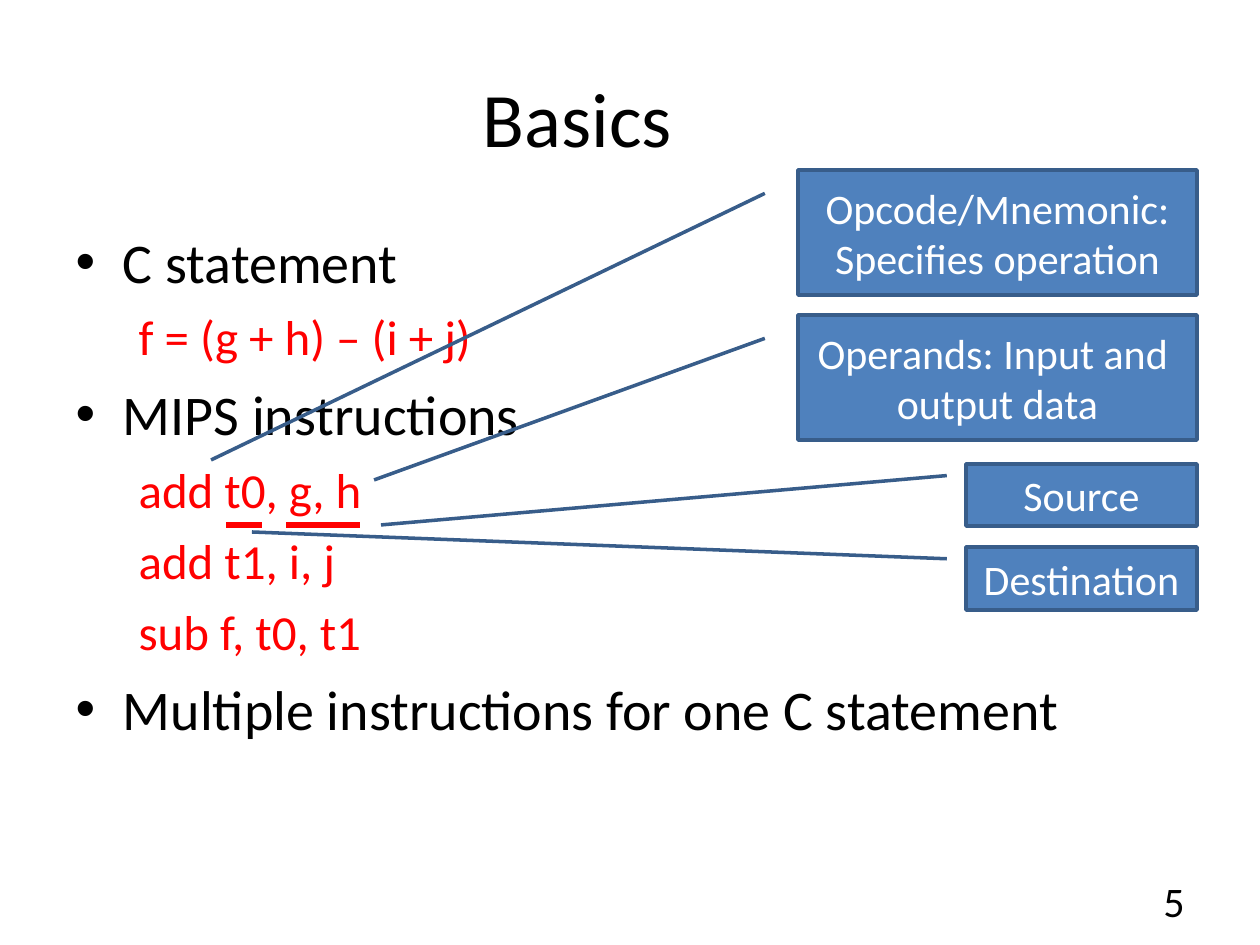
from dataclasses import dataclass

from lxml.etree import SubElement
from pptx import Presentation
from pptx.dml.color import RGBColor
from pptx.enum.shapes import MSO_CONNECTOR, MSO_SHAPE
from pptx.enum.text import MSO_ANCHOR, PP_ALIGN
from pptx.oxml.ns import qn
from pptx.shapes.autoshape import Shape
from pptx.slide import Slide
from pptx.text.text import _Paragraph
from pptx.util import Emu, Pt

EMU_PER_PX = 914400 / 126


@dataclass(frozen=True)
class Theme:
    font: str = "Calibri"
    ink: RGBColor = RGBColor(0x00, 0x00, 0x00)
    code: RGBColor = RGBColor(0xFF, 0x00, 0x00)
    fill: RGBColor = RGBColor(0x4F, 0x81, 0xBD)
    border: RGBColor = RGBColor(0x38, 0x5D, 0x8A)
    label: RGBColor = RGBColor(0xFF, 0xFF, 0xFF)
    title_size: int = 44
    point_size: int = 32
    code_size: int = 28
    label_size: int = 24


@dataclass(frozen=True)
class Area:
    left: int
    top: int
    width: int
    height: int

    def emu(self) -> tuple[Emu, Emu, Emu, Emu]:
        return px(self.left), px(self.top), px(self.width), px(self.height)


@dataclass(frozen=True)
class ListItem:
    text: str
    is_code: bool = False


@dataclass(frozen=True)
class Callout:
    lines: tuple[str, ...]
    area: Area
    tip: tuple[int, int]


@dataclass(frozen=True)
class Underline:
    left: int
    right: int
    y: int


THEME = Theme()

ITEMS = (
    ListItem("C statement"),
    ListItem("f = (g + h) – (i + j)", is_code=True),
    ListItem("MIPS instructions"),
    ListItem("add t0, g, h", is_code=True),
    ListItem("add t1, i, j", is_code=True),
    ListItem("sub f, t0, t1", is_code=True),
    ListItem("Multiple instructions for one C statement"),
)

CALLOUTS = (
    Callout(("Opcode/Mnemonic: Specifies operation",), Area(798, 170, 399, 125), (211, 460)),
    Callout(("Operands: Input and ", "output data"), Area(798, 315, 399, 125), (374, 480)),
    Callout(("Source",), Area(966, 464, 231, 62), (381, 525)),
    Callout(("Destination",), Area(966, 547, 231, 63), (252, 532)),
)

UNDERLINES = (Underline(286, 360, 525), Underline(226, 262, 525))


def px(length: int) -> Emu:
    return Emu(round(length * EMU_PER_PX))


def place(shape: Shape, area: Area) -> None:
    shape.left, shape.top, shape.width, shape.height = area.emu()


def add_span(para: _Paragraph, text: str, size: int, color: RGBColor) -> None:
    span = para.add_run()
    span.text = text
    span.font.name = THEME.font
    span.font.size = Pt(size)
    span.font.color.rgb = color


def next_para(box: Shape, index: int) -> _Paragraph:
    frame = box.text_frame
    return frame.paragraphs[0] if index == 0 else frame.add_paragraph()


def fill_title(page: Slide) -> None:
    title = page.shapes.title
    place(title, Area(63, 38, 1029, 157))
    title.text_frame.vertical_anchor = MSO_ANCHOR.MIDDLE
    para = title.text_frame.paragraphs[0]
    para.alignment = PP_ALIGN.CENTER
    add_span(para, "Basics", THEME.title_size, THEME.ink)


def fill_list(page: Slide) -> None:
    body = page.placeholders[1]
    place(body, Area(63, 221, 1134, 624))
    for index, item in enumerate(ITEMS):
        para = next_para(body, index)
        para.space_before = Pt(0 if index == 0 else 7 if item.is_code else 8)
        if item.is_code:
            para.level = 1
            SubElement(para._p.get_or_add_pPr(), qn("a:buNone"))
            add_span(para, item.text, THEME.code_size, THEME.code)
        else:
            add_span(para, item.text, THEME.point_size, THEME.ink)


def add_page_number(page: Slide, number: str) -> None:
    box = page.shapes.add_textbox(*Area(1050, 876, 147, 50).emu())
    box.text_frame.word_wrap = True
    box.text_frame.vertical_anchor = MSO_ANCHOR.MIDDLE
    para = box.text_frame.paragraphs[0]
    para.alignment = PP_ALIGN.RIGHT
    add_span(para, number, THEME.label_size, THEME.ink)


def add_callout(page: Slide, callout: Callout) -> None:
    area = callout.area
    tip_x, tip_y = callout.tip
    box = page.shapes.add_shape(MSO_SHAPE.LINE_CALLOUT_1, *area.emu())
    box.adjustments[0] = 0.1875
    box.adjustments[1] = -0.0833
    box.adjustments[2] = (tip_y - area.top) / area.height
    box.adjustments[3] = (tip_x - area.left) / area.width
    box.shadow.inherit = False
    box.fill.solid()
    box.fill.fore_color.rgb = THEME.fill
    box.line.color.rgb = THEME.border
    box.line.width = Pt(2)
    box.text_frame.word_wrap = True
    box.text_frame.vertical_anchor = MSO_ANCHOR.MIDDLE
    for index, line in enumerate(callout.lines):
        para = next_para(box, index)
        para.alignment = PP_ALIGN.CENTER
        add_span(para, line, THEME.label_size, THEME.label)


def add_underline(page: Slide, mark: Underline) -> None:
    line = page.shapes.add_connector(
        MSO_CONNECTOR.STRAIGHT, px(mark.left), px(mark.y), px(mark.right), px(mark.y)
    )
    line.line.color.rgb = THEME.code
    line.line.width = Pt(3)
    SubElement(line._element.spPr, qn("a:effectLst"))


def main() -> None:
    deck = Presentation()
    deck.slide_width, deck.slide_height = px(1260), px(945)
    page = deck.slides.add_slide(deck.slide_layouts[1])
    fill_title(page)
    fill_list(page)
    add_page_number(page, "5")
    for callout in CALLOUTS:
        add_callout(page, callout)
    for mark in UNDERLINES:
        add_underline(page, mark)
    deck.save("out.pptx")


if __name__ == "__main__":
    main()
